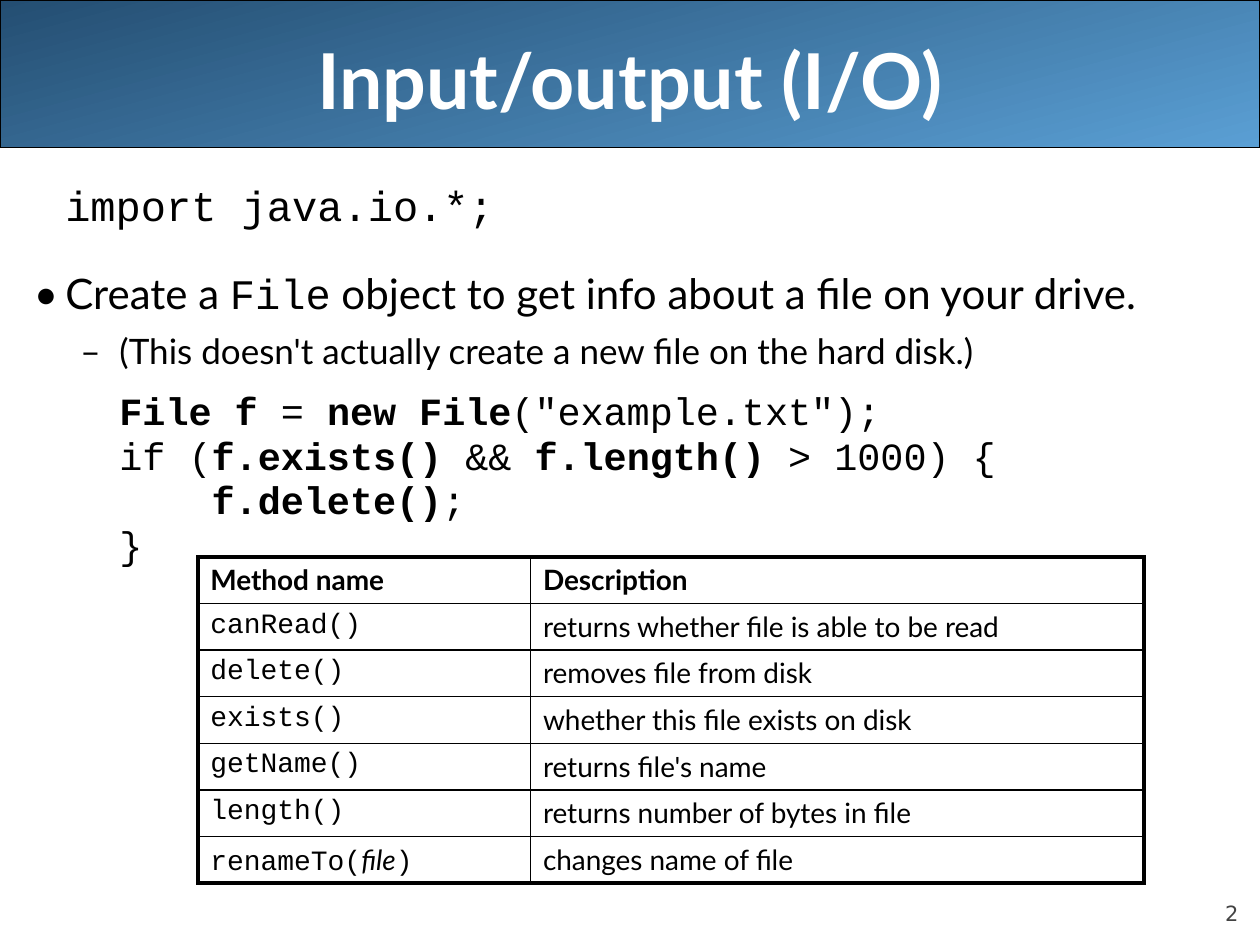
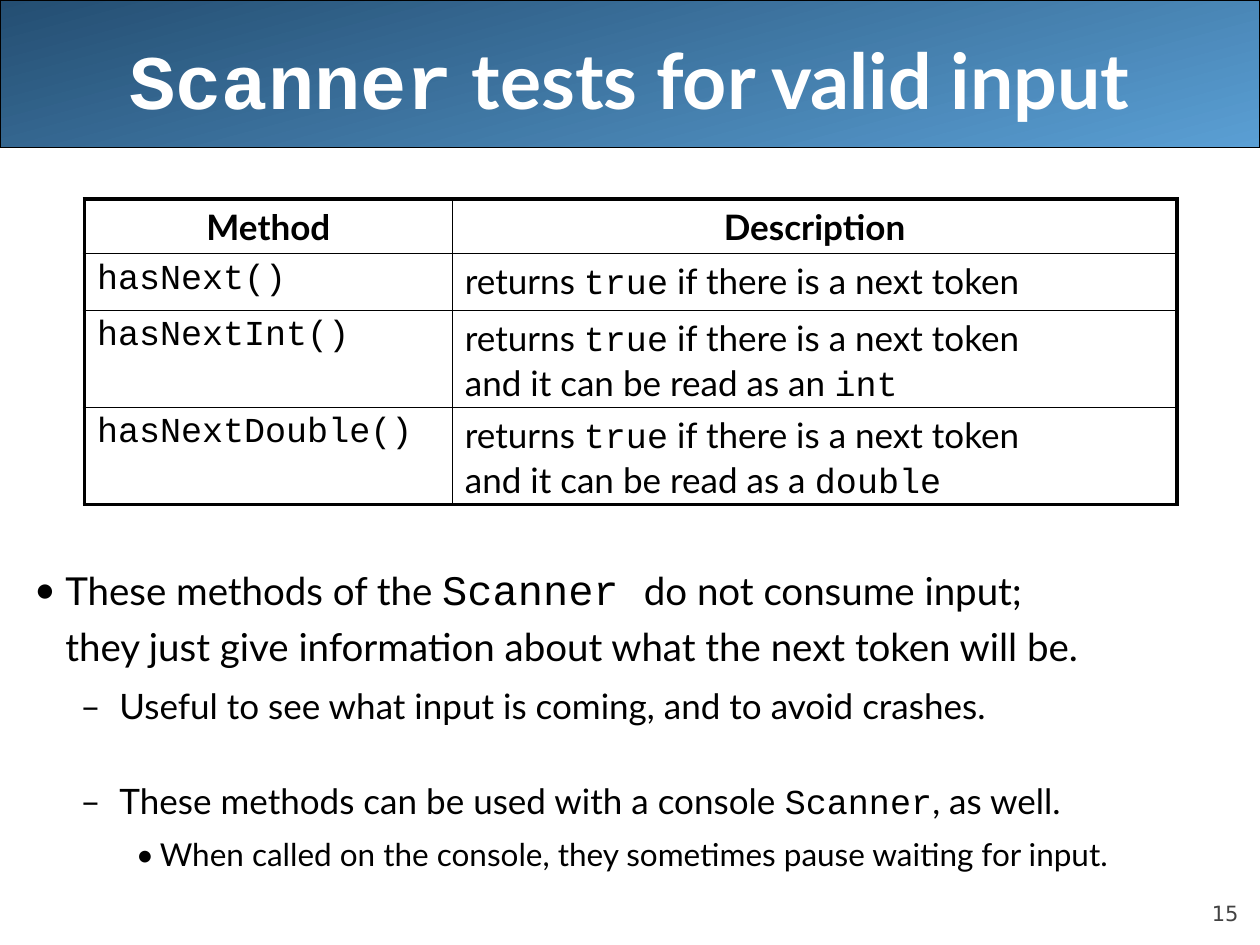
from dataclasses import dataclass
from typing import NamedTuple

from lxml import etree
from pptx import Presentation
from pptx import util as u
from pptx.dml.color import RGBColor
from pptx.enum import shapes, text
from pptx.oxml import ns

WIDTH, HEIGHT = u.Inches(10), u.Inches(7.5)
COLUMN, ROW = WIDTH / 100, HEIGHT / 75

BLACK = RGBColor(0x00, 0x00, 0x00)
WHITE = RGBColor(0xFF, 0xFF, 0xFF)
GRAY = RGBColor(0x42, 0x42, 0x42)
BAND_DARK = RGBColor(0x24, 0x4E, 0x72)
BAND_LIGHT = RGBColor(0x5A, 0x9F, 0xD4)

PROSE, CODE, NUMBER = "Lato", "Courier New", "DejaVu Sans"
OUTER_BORDER, INNER_BORDER = 2.25, 1


class Area(NamedTuple):
    left: float
    top: float
    width: float
    height: float

    def lengths(self) -> tuple[int, int, int, int]:
        return (round(self.left * COLUMN), round(self.top * ROW),
                round(self.width * COLUMN), round(self.height * ROW))


class Span(NamedTuple):
    content: str
    face: str = PROSE
    bold: bool = False
    italic: bool = False
    size: float | None = None


class Level(NamedTuple):
    margin: float
    hanging: float
    bullet: str = ""


@dataclass
class Line:
    spans: list[Span]
    size: float
    level: Level
    spacing: float
    before: float = 0


@dataclass
class MethodTable:
    left: float
    top: float
    columns: list[float]
    rows: list[float]
    size: float
    header_align: text.PP_ALIGN
    cells: list[list[list[Span]]]


BAND = Area(0, 0, 100, 11.7)
TITLE = Area(5, 0, 90, 12.5)
PAGE_NUMBER = Area(90, 69.5, 8.3, 4)

FLUSH = Level(2.5, 0)
POINT = Level(2.5, 2.5, "•")
SUBPOINT = Level(6.8, 3.1, "–")
DETAIL = Level(10, 1.9, "•")
CODE_BLOCK = Level(6.8, 0)


def code(content: str, bold: bool = False, size: float | None = None) -> Span:
    return Span(content, CODE, bold, size=size)


def strong(content: str) -> Span:
    return code(content, bold=True)


def add_spans(para, spans: list[Span], size: float, color: RGBColor = BLACK) -> None:
    for span in spans:
        for index, piece in enumerate(span.content.split("\n")):
            if index:
                para.add_line_break()
            run = para.add_run()
            run.text = piece
            run.font.name = span.face
            run.font.size = u.Pt(span.size or size)
            run.font.bold = span.bold
            run.font.italic = span.italic
            run.font.color.rgb = color


def set_level(para, level: Level) -> None:
    properties = para._p.get_or_add_pPr()
    properties.set("marL", str(round(level.margin * COLUMN)))
    properties.set("indent", str(round(-level.hanging * COLUMN)))
    if level.bullet:
        tint = etree.SubElement(properties, ns.qn("a:buClr"))
        etree.SubElement(tint, ns.qn("a:srgbClr"), val=str(BLACK))
        etree.SubElement(properties, ns.qn("a:buFont"), typeface=PROSE)
        etree.SubElement(properties, ns.qn("a:buChar"), char=level.bullet)


def add_band(page) -> None:
    band = page.shapes.add_shape(shapes.MSO_SHAPE.ROUNDED_RECTANGLE, *BAND.lengths())
    band.adjustments[0] = 0
    band.shadow.inherit = False
    band.fill.gradient()
    band.fill.gradient_angle = 285
    for stop, color, position in zip(band.fill.gradient_stops, (BAND_DARK, BAND_LIGHT), (0, 1)):
        stop.color.rgb = color
        stop.position = position
    band.line.color.rgb = BLACK
    band.line.width = u.Pt(0.75)
    page.shapes.title.element.addprevious(band.element)


def add_title(page, spans: list[Span]) -> None:
    title = page.shapes.title
    title.left, title.top, title.width, title.height = TITLE.lengths()
    frame = title.text_frame
    frame.auto_size = text.MSO_AUTO_SIZE.NONE
    frame.vertical_anchor = text.MSO_ANCHOR.MIDDLE
    frame.paragraphs[0].alignment = text.PP_ALIGN.CENTER
    add_spans(frame.paragraphs[0], spans, 44, WHITE)


def add_page_number(page, number: int) -> None:
    frame = page.shapes.add_textbox(*PAGE_NUMBER.lengths()).text_frame
    frame.margin_left = frame.margin_right = frame.margin_top = frame.margin_bottom = 0
    frame.word_wrap = True
    frame.vertical_anchor = text.MSO_ANCHOR.BOTTOM
    frame.paragraphs[0].alignment = text.PP_ALIGN.RIGHT
    add_spans(frame.paragraphs[0], [Span(str(number), NUMBER)], 12, GRAY)


def add_body(page, area: Area, lines: list[Line], anchor: text.MSO_ANCHOR) -> None:
    frame = page.shapes.add_textbox(*area.lengths()).text_frame
    frame.word_wrap = True
    frame.vertical_anchor = anchor
    for index, line in enumerate(lines):
        para = frame.add_paragraph() if index else frame.paragraphs[0]
        set_level(para, line.level)
        para.line_spacing = line.spacing
        para.space_before = u.Pt(line.before)
        add_spans(para, line.spans, line.size)


def set_border(cell, side: str, width: float) -> None:
    border = etree.SubElement(cell._tc.get_or_add_tcPr(), ns.qn(f"a:ln{side}"), w=str(u.Pt(width)))
    fill = etree.SubElement(border, ns.qn("a:solidFill"))
    etree.SubElement(fill, ns.qn("a:srgbClr"), val=str(BLACK))


def add_methods(page, methods: MethodTable) -> None:
    area = Area(methods.left, methods.top, sum(methods.columns), sum(methods.rows))
    last_row, last_column = len(methods.rows) - 1, len(methods.columns) - 1
    table = page.shapes.add_table(last_row + 1, last_column + 1, *area.lengths()).table
    table.horz_banding = table.first_row = False
    for column, width in zip(table.columns, methods.columns):
        column.width = round(width * COLUMN)
    for row, height in zip(table.rows, methods.rows):
        row.height = round(height * ROW)
    for r, row_spans in enumerate(methods.cells):
        for c, spans in enumerate(row_spans):
            cell = table.cell(r, c)
            edges = {"L": c == 0, "R": c == last_column, "T": r == 0, "B": r == last_row}
            for side, outer in edges.items():
                set_border(cell, side, OUTER_BORDER if outer else INNER_BORDER)
            cell.fill.solid()
            cell.fill.fore_color.rgb = WHITE
            para = cell.text_frame.paragraphs[0]
            para.alignment = text.PP_ALIGN.LEFT if r else methods.header_align
            add_spans(para, spans, methods.size)


def header(*names: str) -> list[list[Span]]:
    return [[Span(name, bold=True)] for name in names]


def add_page(deck, number: int, title: list[Span]):
    page = deck.slides.add_slide(deck.slide_layouts[5])
    add_band(page)
    add_page_number(page, number)
    add_title(page, title)
    return page


def add_file_page(deck) -> None:
    page = add_page(deck, 2, [Span("Input/output (I/O)", bold=True)])
    snippet = [
        [strong("File f"), code(" = "), strong("new File"), code('("example.txt");')],
        [code("if ("), strong("f.exists()"), code(" && "), strong("f.length()"),
         code(" > 1000) {")],
        [code("    "), strong("f.delete()"), code(";")],
        [code("}")],
    ]
    lines = [
        Line([code("import java.io.*;")], 24, FLUSH, 0.9),
        Line([Span("Create a "), code("File"),
              Span(" object to get info about a file on your drive.")], 24, POINT, 1.1, 18.5),
        Line([Span("(This doesn't actually create a new file on the hard disk.)")],
             20, SUBPOINT, 1.1, 4),
    ]
    lines += [Line(spans, 22, CODE_BLOCK, 0.8, 4.4 if index else 14)
              for index, spans in enumerate(snippet)]
    add_body(page, Area(1.7, 14.2, 98.3, 56.7), lines, text.MSO_ANCHOR.TOP)

    descriptions = {
        "canRead()": "returns whether file is able to be read",
        "delete()": "removes file from disk",
        "exists()": "whether this file exists on disk",
        "getName()": "returns file's name",
        "length()": "returns number of bytes in file",
    }
    cells = [header("Method name", "Description")]
    cells += [[[code(name)], [Span(meaning)]] for name, meaning in descriptions.items()]
    cells.append([[code("renameTo("), Span("file", italic=True), code(")")],
                  [Span("changes name of file")]])
    add_methods(page, MethodTable(15.7, 44.2, [26.4, 48.7], [3.7] * len(cells), 16,
                                  text.PP_ALIGN.LEFT, cells))


def add_scanner_page(deck) -> None:
    page = add_page(deck, 15, [Span("Scanner", CODE, True),
                               Span(" tests for valid input", bold=True)])
    lines = [
        Line([Span("These methods of the "), code("Scanner ", size=24),
              Span("do not consume input;\n"
                   "they just give information about what the next token will be.")],
             22, POINT, 1.2),
        Line([Span("Useful to see what input is coming, and to avoid crashes.")],
             20, SUBPOINT, 1.2, 4),
        Line([Span("These methods can be used with a console "), code("Scanner"),
              Span(", as well.")], 20, SUBPOINT, 1.2, 25.3),
        Line([Span("When called on the console, they sometimes pause waiting for input.")],
             18, DETAIL, 1.2, 3.6),
    ]
    add_body(page, Area(1.7, 44, 98.3, 25.8), lines, text.MSO_ANCHOR.BOTTOM)

    token = [Span("returns "), code("true"), Span(" if there is a next token")]
    cells = [header("Method", "Description"), [[code("hasNext()")], token]]
    for name, article, kind in (("hasNextInt()", "an", "int"),
                                ("hasNextDouble()", "a", "double")):
        reading = [Span(f"\nand it can be read as {article} "), code(kind)]
        cells.append([[code(name)], token + reading])
    add_methods(page, MethodTable(6.7, 15.8, [29.2, 57.5], [4.3, 4.5, 7.7, 7.7], 20,
                                  text.PP_ALIGN.CENTER, cells))


def main() -> None:
    deck = Presentation()
    deck.slide_width, deck.slide_height = WIDTH, HEIGHT
    add_file_page(deck)
    add_scanner_page(deck)
    deck.save("out.pptx")


if __name__ == "__main__":
    main()
